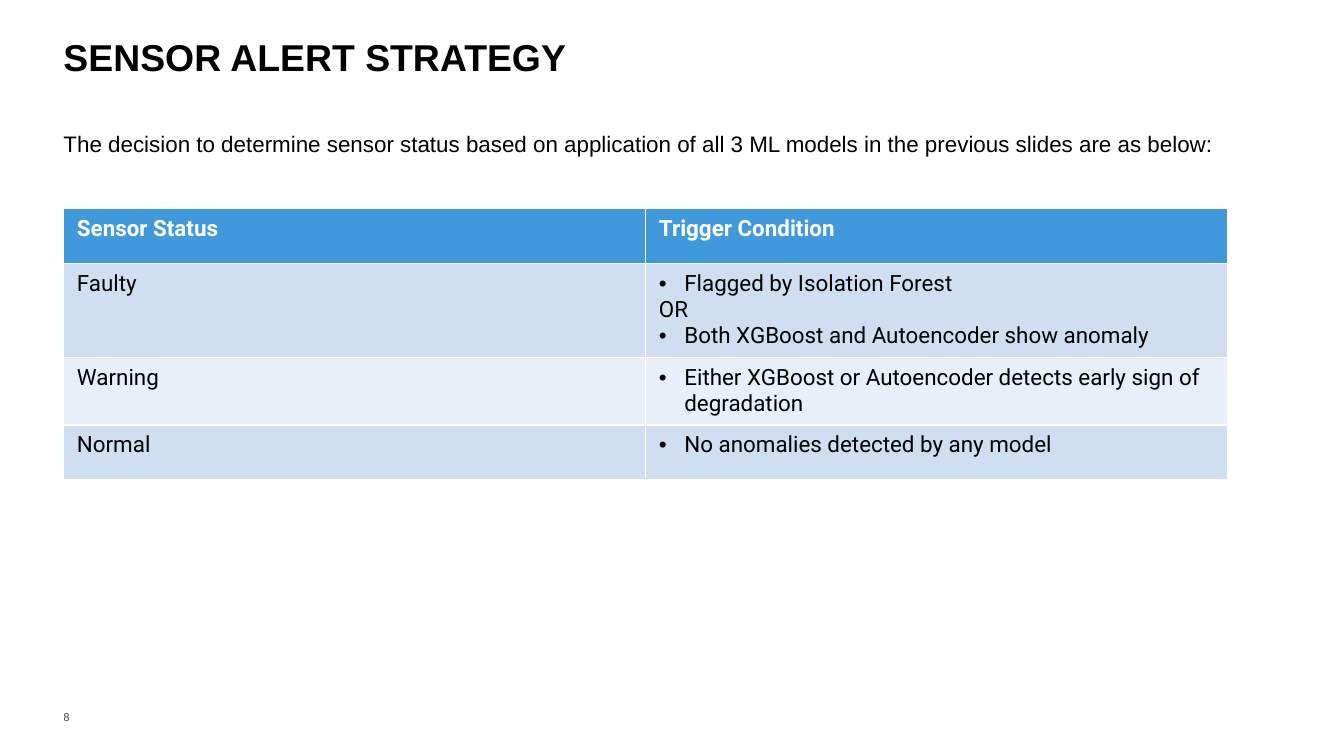
from dataclasses import dataclass

from lxml.etree import SubElement
from pptx import Presentation
from pptx.dml.color import RGBColor
from pptx.enum.text import MSO_ANCHOR
from pptx.oxml.ns import qn
from pptx.slide import Slide
from pptx.table import _Cell
from pptx.text.text import _Paragraph
from pptx.util import Cm, Pt

BLACK = RGBColor(0x00, 0x00, 0x00)
WHITE = RGBColor(0xFF, 0xFF, 0xFF)
SLATE = RGBColor(0x3B, 0x49, 0x56)
HEADER_BLUE = RGBColor(0x40, 0x99, 0xDA)
BAND_DARK = RGBColor(0xCF, 0xDE, 0xF1)
BAND_LIGHT = RGBColor(0xE8, 0xEF, 0xF8)

MARGIN = Cm(1.2)
CONTENT_WIDTH = Cm(23)
COLUMN_WIDTH = Cm(11)
ROW_HEIGHT = Cm(1.04)
BULLET_INDENT = Cm(0.48)


@dataclass(frozen=True)
class TextStyle:
    font: str
    size: float
    color: RGBColor = BLACK
    bold: bool = False


@dataclass(frozen=True)
class Line:
    text: str
    bulleted: bool = False


@dataclass(frozen=True)
class StatusRule:
    status: str
    conditions: tuple[Line, ...]


TITLE_STYLE = TextStyle("Arial", 20, bold=True)
INTRO_STYLE = TextStyle("Arial", 12)
HEADER_STYLE = TextStyle("Roboto", 12, WHITE, bold=True)
CELL_STYLE = TextStyle("Roboto", 12)
NUMBER_STYLE = TextStyle("Roboto", 6, SLATE)

RULES = (
    StatusRule("Faulty", (
        Line("Flagged by Isolation Forest", True),
        Line("OR"),
        Line("Both XGBoost and Autoencoder show anomaly", True),
    )),
    StatusRule("Warning", (
        Line("Either XGBoost or Autoencoder detects early sign of degradation", True),
    )),
    StatusRule("Normal", (Line("No anomalies detected by any model", True),)),
)


def add_run(paragraph: _Paragraph, text: str, style: TextStyle) -> None:
    run = paragraph.add_run()
    run.text = text
    run.font.name = style.font
    run.font.size = Pt(style.size)
    run.font.bold = style.bold
    run.font.color.rgb = style.color


def add_text(slide: Slide, text: str, style: TextStyle, top: Cm, width: Cm,
             height: Cm, anchor: MSO_ANCHOR = MSO_ANCHOR.TOP) -> _Paragraph:
    """Add a one-paragraph text box at the left margin, without insets."""
    frame = slide.shapes.add_textbox(MARGIN, top, width, height).text_frame
    frame.margin_left = frame.margin_right = 0
    frame.margin_top = frame.margin_bottom = 0
    frame.word_wrap = True
    frame.vertical_anchor = anchor
    paragraph = frame.paragraphs[0]
    add_run(paragraph, text, style)
    return paragraph


def add_bullet(paragraph: _Paragraph) -> None:
    properties = paragraph._p.get_or_add_pPr()
    properties.set("marL", str(BULLET_INDENT))
    properties.set("indent", str(-BULLET_INDENT))
    SubElement(properties, qn("a:buFont"), typeface="Arial")
    SubElement(properties, qn("a:buChar"), char="•")


def fill_cell(cell: _Cell, lines: tuple[Line, ...], style: TextStyle,
              color: RGBColor) -> None:
    cell.fill.solid()
    cell.fill.fore_color.rgb = color
    frame = cell.text_frame
    for index, line in enumerate(lines):
        paragraph = frame.add_paragraph() if index else frame.paragraphs[0]
        if line.bulleted:
            add_bullet(paragraph)
        add_run(paragraph, line.text, style)


def add_rule_table(slide: Slide, top: Cm) -> None:
    row_count = len(RULES) + 1
    table = slide.shapes.add_table(row_count, 2, MARGIN, top, 2 * COLUMN_WIDTH,
                                   row_count * ROW_HEIGHT).table
    for column, heading in enumerate(("Sensor Status", "Trigger Condition")):
        fill_cell(table.cell(0, column), (Line(heading),), HEADER_STYLE, HEADER_BLUE)
    for row, rule in enumerate(RULES, start=1):
        band = BAND_DARK if row % 2 else BAND_LIGHT
        fill_cell(table.cell(row, 0), (Line(rule.status),), CELL_STYLE, band)
        fill_cell(table.cell(row, 1), rule.conditions, CELL_STYLE, band)


def main() -> None:
    presentation = Presentation()
    presentation.slide_width = Cm(25.4)
    presentation.slide_height = Cm(14.29)
    slide = presentation.slides.add_slide(presentation.slide_layouts[6])

    add_text(slide, "8", NUMBER_STYLE, Cm(13.36), Cm(0.66), Cm(0.33),
             MSO_ANCHOR.BOTTOM)
    title = add_text(slide, "SENSOR ALERT STRATEGY", TITLE_STYLE, Cm(0.71),
                     CONTENT_WIDTH, Cm(1.6))
    title.line_spacing = 0.95
    intro = add_text(
        slide,
        "The decision to determine sensor status based on application of all 3 ML "
        "models in the previous slides are as below:",
        INTRO_STYLE, Cm(2.46), CONTENT_WIDTH, Cm(9.5))
    intro.space_after = Pt(3)
    add_rule_table(slide, Cm(3.94))

    presentation.save("out.pptx")


if __name__ == "__main__":
    main()
